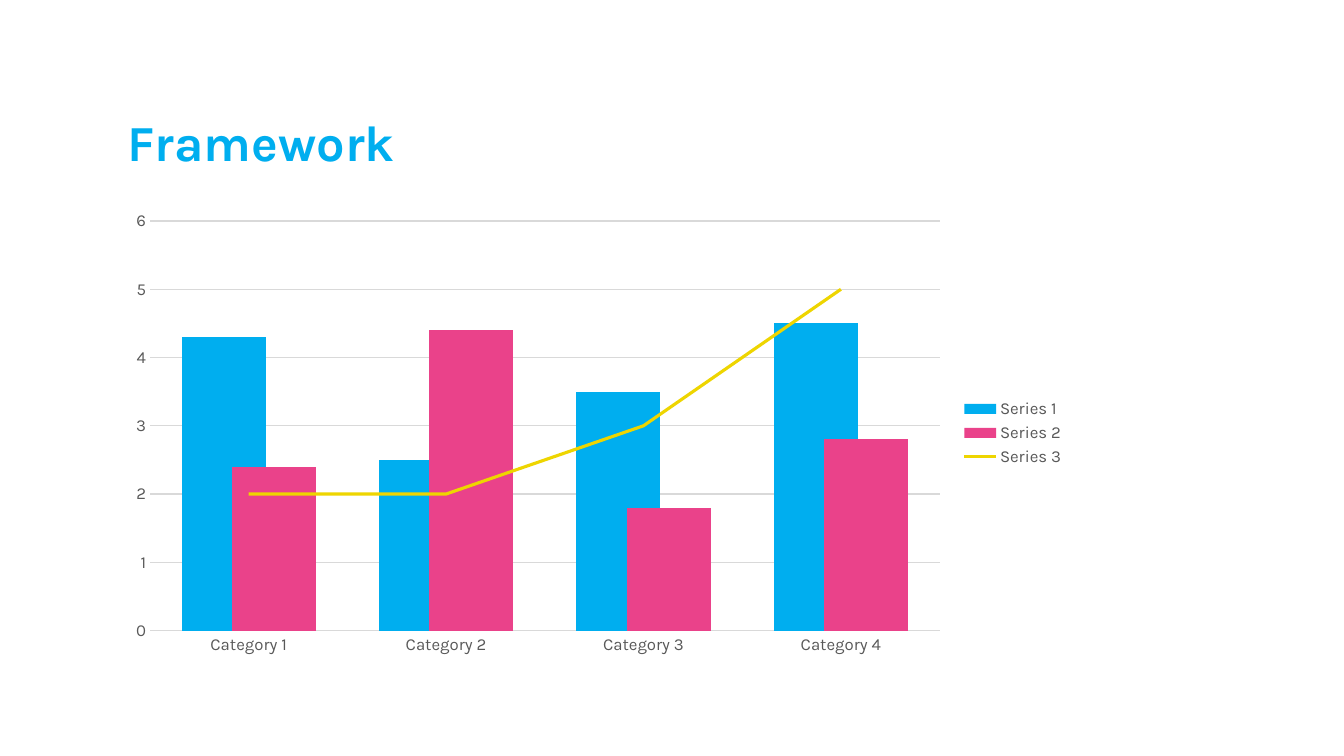
from dataclasses import dataclass

from pptx import Presentation
from pptx.chart.data import CategoryChartData
from pptx.dml.color import RGBColor
from pptx.enum.chart import XL_CHART_TYPE, XL_LEGEND_POSITION, XL_TICK_MARK
from pptx.enum.text import MSO_ANCHOR, MSO_AUTO_SIZE, PP_ALIGN
from pptx.oxml import parse_xml
from pptx.oxml.ns import nsdecls, qn
from pptx.util import Inches, Pt

COLUMNS = XL_CHART_TYPE.COLUMN_CLUSTERED
RIGHT = XL_LEGEND_POSITION.RIGHT
NO_TICK = XL_TICK_MARK.NONE
BOTTOM = MSO_ANCHOR.BOTTOM
NO_FIT = MSO_AUTO_SIZE.NONE
LEFT = PP_ALIGN.LEFT


@dataclass(frozen=True)
class Theme:
    font: str = "Karla"
    blue: str = "00AEEF"
    pink: str = "EA428A"
    gold: str = "EED500"
    gray: str = "595959"
    rule: str = "D9D9D9"
    head: int = 36
    label: int = 12
    thin: float = 0.75
    thick: float = 2.25


THEME = Theme()
WIDE, HIGH = Inches(13.33), Inches(7.5)

# Boxes as shares of the slide: left, top, width, height
HEAD_BOX = (0.087, 0.077, 0.713, 0.156)
CHART_BOX = (0.087, 0.267, 0.713, 0.611)

GROUPS = [f"Category {n}" for n in range(1, 5)]
SERIES = [
    ("Series 1", (4.3, 2.5, 3.5, 4.5), THEME.blue),
    ("Series 2", (2.4, 4.4, 1.8, 2.8), THEME.pink),
    ("Series 3", (2, 2, 3, 5), THEME.gold),
]


def place(box):
    return [int(share * side) for share, side in zip(box, (WIDE, HIGH) * 2)]


def style(font, size, color, bold=False):
    font.name = THEME.font
    font.size = Pt(size)
    font.bold = bold
    font.color.rgb = RGBColor.from_string(color)


def stroke(line, color, width):
    line.color.rgb = RGBColor.from_string(color)
    line.width = Pt(width)


def add_title(slide, text):
    title = slide.shapes.title
    title.left, title.top, title.width, title.height = place(HEAD_BOX)
    frame = title.text_frame
    frame.auto_size = NO_FIT
    frame.vertical_anchor = BOTTOM
    para = frame.paragraphs[0]
    para.alignment = LEFT
    para.line_spacing = 0.8
    run = para.add_run()
    run.text = text
    style(run.font, THEME.head, THEME.blue, bold=True)


def make_line(chart):
    """Turn the last column series into a line on the same axes."""
    columns = chart.plots[0]._element
    ser = columns.findall(qn("c:ser"))[-1]
    group = parse_xml(
        f'<c:lineChart {nsdecls("c")}><c:grouping val="standard"/>'
        '<c:varyColors val="0"/><c:marker val="1"/></c:lineChart>'
    )
    for axis in columns.findall(qn("c:axId")):
        group.append(parse_xml(
            f'<c:axId {nsdecls("c")} val="{axis.get("val")}"/>'))
    for flag in ser.findall(qn("c:invertIfNegative")):
        ser.remove(flag)
    ser.find(qn("c:spPr")).addnext(parse_xml(
        f'<c:marker {nsdecls("c")}><c:symbol val="none"/></c:marker>'))
    group.insert(2, ser)
    columns.addnext(group)
    chart.plots[1].series[0].smooth = False


def add_combo(slide):
    data = CategoryChartData()
    data.categories = GROUPS
    for name, values, _ in SERIES:
        data.add_series(name, values)
    chart = slide.shapes.add_chart(COLUMNS, *place(CHART_BOX), data).chart
    style(chart.font, THEME.label, THEME.gray)
    chart.has_title = False

    # Columns and line
    bars = chart.plots[0]
    bars.gap_width = 75
    bars.overlap = 40
    bars.vary_by_categories = False
    *solid, trend = bars.series
    for item, (_, _, color) in zip(solid, SERIES):
        item.format.fill.solid()
        item.format.fill.fore_color.rgb = RGBColor.from_string(color)
    stroke(trend.format.line, SERIES[-1][2], THEME.thick)
    make_line(chart)

    # Axes and grid
    across, up = chart.category_axis, chart.value_axis
    for axis in (across, up):
        axis.major_tick_mark = axis.minor_tick_mark = NO_TICK
        style(axis.tick_labels.font, THEME.label, THEME.gray)
    stroke(across.format.line, THEME.rule, THEME.thin)
    up.format.line.fill.background()
    up.minimum_scale, up.maximum_scale, up.major_unit = 0, 6, 1
    up.has_major_gridlines = True
    stroke(up.major_gridlines.format.line, THEME.rule, THEME.thin)

    # Legend
    chart.has_legend = True
    chart.legend.position = RIGHT
    chart.legend.include_in_layout = False
    style(chart.legend.font, THEME.label, THEME.gray)


def main():
    deck = Presentation()
    deck.slide_width, deck.slide_height = WIDE, HIGH
    slide = deck.slides.add_slide(deck.slide_layouts[5])
    add_title(slide, "Framework")
    add_combo(slide)
    deck.save("out.pptx")


if __name__ == "__main__":
    main()
